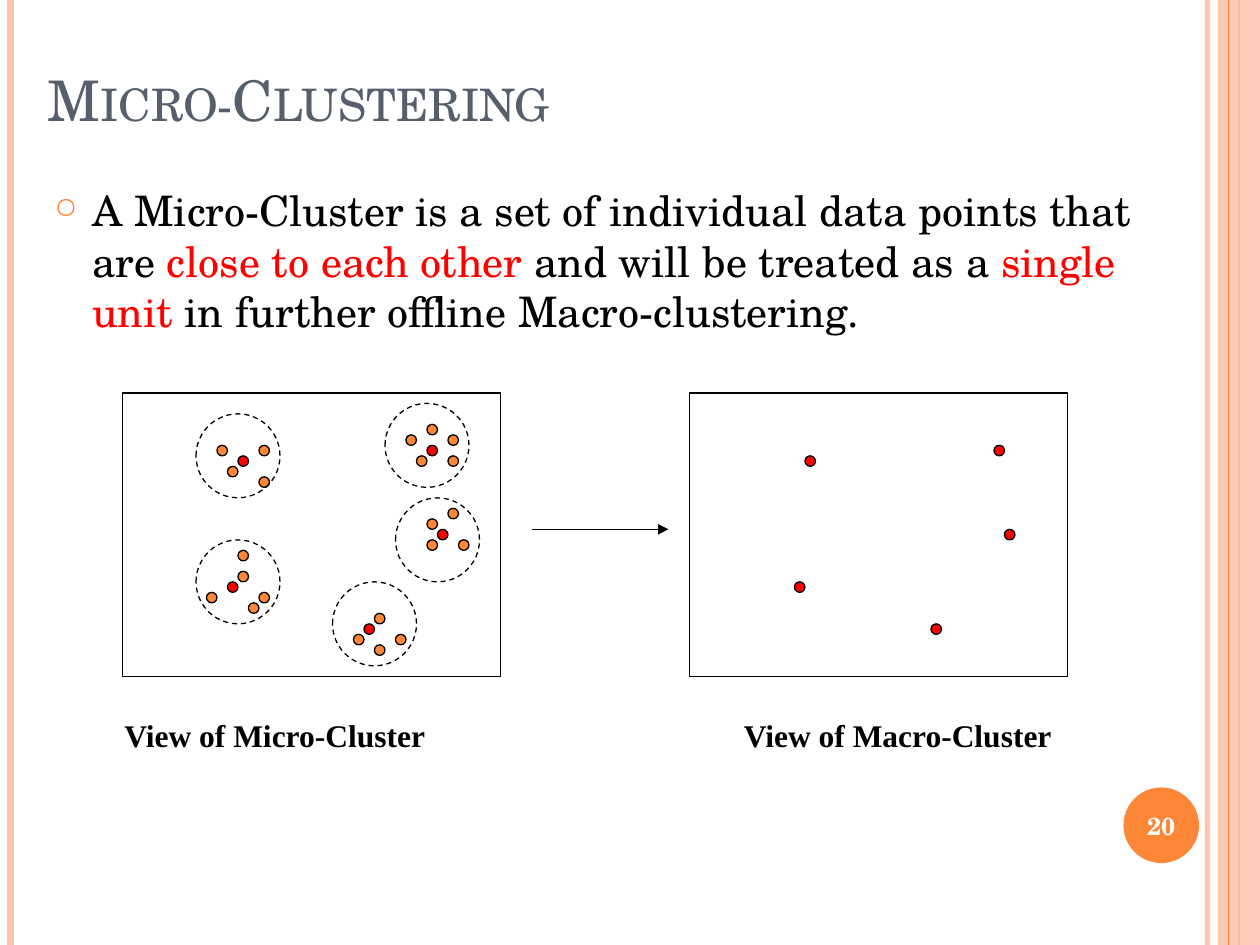
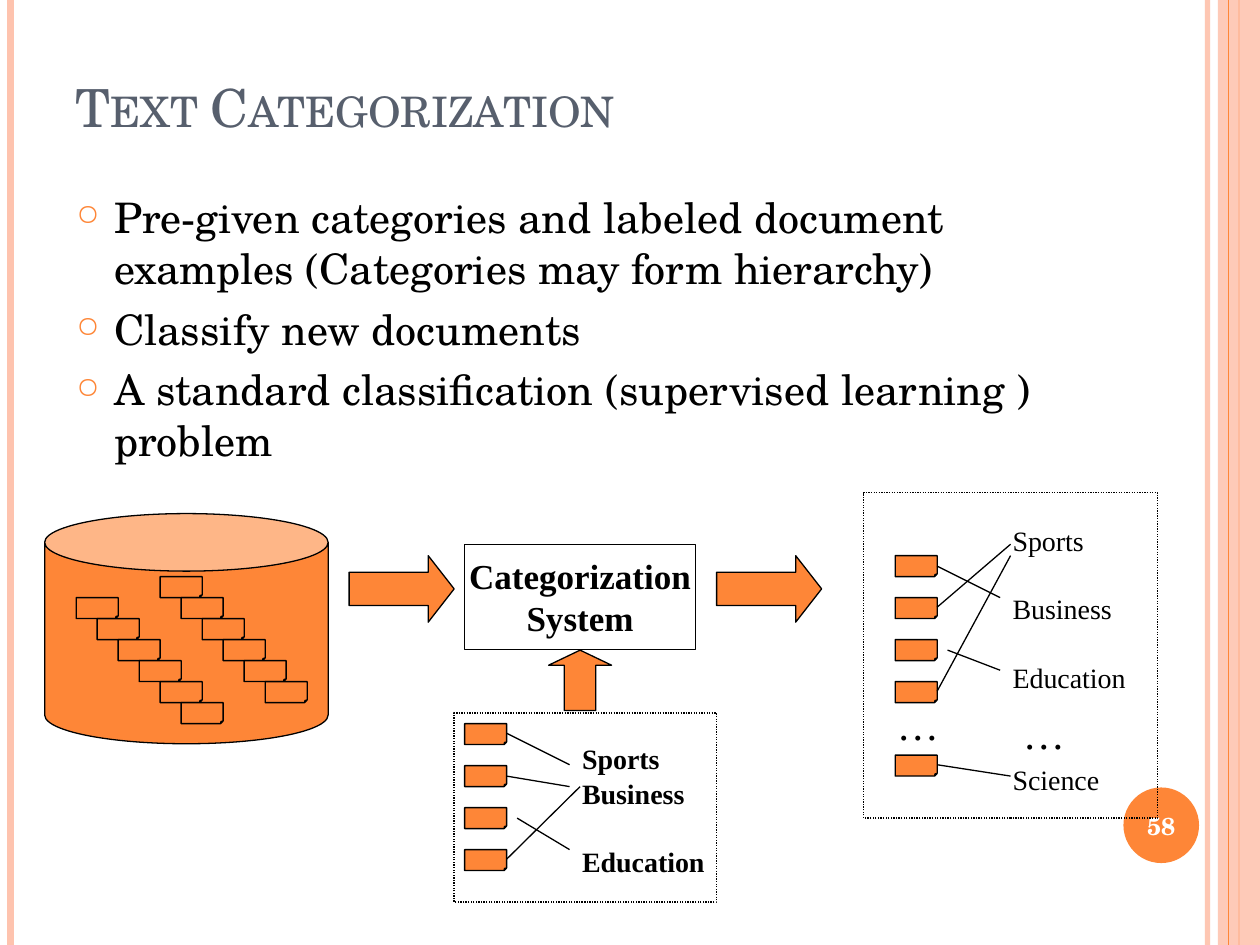
from dataclasses import dataclass
from typing import Any, Optional

import pptx
import pptx.dml.color
import pptx.enum.dml
import pptx.enum.shapes
import pptx.enum.text
import pptx.oxml
import pptx.oxml.ns
import pptx.util

Pt = pptx.util.Pt
RGBColor = pptx.dml.color.RGBColor
Shapes = pptx.enum.shapes.MSO_SHAPE
Dash = pptx.enum.dml.MSO_LINE
Anchor = pptx.enum.text.MSO_ANCHOR
Align = pptx.enum.text.PP_ALIGN

ORANGE = RGBColor(0xFE, 0x86, 0x37)
PEACH = RGBColor(0xFE, 0xC3, 0xAE)
SLATE = RGBColor(0x57, 0x5F, 0x6D)
RED = RGBColor(0xFF, 0x00, 0x00)
BLACK = RGBColor(0x00, 0x00, 0x00)
WHITE = RGBColor(0xFF, 0xFF, 0xFF)

THEME_FONT = "TeX Gyre Schola"
DIAGRAM_FONT = "Times New Roman"
BODY_TEXT = dict(name=THEME_FONT, size=Pt(24))
CAPTION_TEXT = dict(name=DIAGRAM_FONT, size=Pt(18), bold=True)
LABEL_TEXT = dict(name=DIAGRAM_FONT, size=Pt(16))
BADGE_TEXT = dict(name=THEME_FONT, size=Pt(14), bold=True)

SLIDE_WIDTH, SLIDE_HEIGHT = 720, 540
LABEL_GAP = 0.8      # extra space between neighbouring labels
LABEL_LINE = 19.2    # height of one label line with its gap


@dataclass(frozen=True)
class Box:
    left: float
    top: float
    width: float
    height: float

    def lengths(self) -> list[int]:
        return [Pt(value) for value in (self.left, self.top, self.width, self.height)]


@dataclass(frozen=True)
class Line:
    x1: float
    y1: float
    x2: float
    y2: float


@dataclass(frozen=True)
class Cluster:
    """Grid positions inside a view: ring corner, centre dot and member dots."""
    ring: tuple[int, int]
    centre: tuple[int, int]
    members: list[tuple[int, int]]


@dataclass(frozen=True)
class Label:
    text: str
    skipped_lines: int = 0


@dataclass(frozen=True)
class Run:
    text: str
    color: RGBColor = BLACK


def apply_format(target: Any, values: dict[str, Any]) -> None:
    for name, value in values.items():
        setattr(target, name, value)


def add_run(paragraph: Any, text: str, font: dict[str, Any], color: RGBColor = BLACK) -> Any:
    run = paragraph.add_run()
    run.text = text
    apply_format(run.font, font)
    run.font.color.rgb = color
    return run


def add_xml(parent: Any, tag: str, content: str = "") -> None:
    """Append a drawing element; tag may carry attributes after its name."""
    namespace = pptx.oxml.ns.nsdecls("a")
    name = tag.split()[0]
    parent.append(pptx.oxml.parse_xml(f"<a:{tag} {namespace}>{content}</a:{name}>"))


def set_alpha(shape: Any, percent: int) -> None:
    color = shape._element.spPr.find(".//" + pptx.oxml.ns.qn("a:srgbClr"))
    add_xml(color, f'alpha val="{percent * 1000}"')


def add_figure(slide: Any, kind: Any, box: Box, fill: Optional[RGBColor] = None,
               line: Optional[RGBColor] = BLACK, dash: Any = None,
               guides: Optional[dict[str, float]] = None) -> Any:
    shape = slide.shapes.add_shape(kind, *box.lengths())
    shape.shadow.inherit = False
    if guides:
        shape._element.spPr.prstGeom.rewrite_guides(
            [(name, round(value * 100000)) for name, value in guides.items()])
    if fill is None:
        shape.fill.background()
    else:
        shape.fill.solid()
        shape.fill.fore_color.rgb = fill
    if line is None:
        shape.line.fill.background()
    else:
        shape.line.color.rgb = line
        apply_format(shape.line, dict(width=Pt(0.75), dash_style=dash))
    return shape


def add_line(slide: Any, line: Line, color: RGBColor = BLACK, width: float = 0.75,
             arrow: bool = False) -> Any:
    connector = slide.shapes.add_connector(
        pptx.enum.shapes.MSO_CONNECTOR.STRAIGHT,
        Pt(line.x1), Pt(line.y1), Pt(line.x2), Pt(line.y2))
    connector.line.color.rgb = color
    connector.line.width = Pt(width)
    if arrow:
        add_xml(connector.get_or_add_ln(), 'tailEnd type="triangle"')
    add_xml(connector._element.spPr, "effectLst")
    return connector


def add_text_frame(slide: Any, box: Box) -> Any:
    frame = slide.shapes.add_textbox(*box.lengths()).text_frame
    frame.word_wrap = True
    return frame


def add_text(slide: Any, box: Box, text: str, font: dict[str, Any]) -> None:
    add_run(add_text_frame(slide, box).paragraphs[0], text, font)


def add_labels(slide: Any, box: Box, labels: list[Label], font: dict[str, Any]) -> None:
    frame = add_text_frame(slide, box)
    for index, label in enumerate(labels):
        paragraph = frame.add_paragraph() if index else frame.paragraphs[0]
        if index:
            paragraph.space_before = Pt(LABEL_GAP + label.skipped_lines * LABEL_LINE)
        add_run(paragraph, label.text, font)


def add_bullets(slide: Any, box: Box, bullets: list[list[Run]]) -> None:
    frame = add_text_frame(slide, box)
    for index, runs in enumerate(bullets):
        paragraph = frame.add_paragraph() if index else frame.paragraphs[0]
        paragraph.space_before = Pt(6)
        properties = paragraph._p.get_or_add_pPr()
        properties.set("marL", str(int(Pt(21.6))))
        properties.set("indent", str(-int(Pt(21.6))))
        add_xml(properties, "buClr", f'<a:srgbClr val="{ORANGE}"/>')
        add_xml(properties, 'buSzPct val="70000"')
        add_xml(properties, 'buChar char="○"')
        for run in runs:
            add_run(paragraph, run.text, BODY_TEXT, run.color)


def add_side_bands(slide: Any) -> None:
    def rule(x: float, color: RGBColor, width: float) -> Any:
        return add_line(slide, Line(x, 0, x, SLIDE_HEIGHT), color, width)

    set_alpha(rule(690, PEACH, 3), 93)
    rule(6, PEACH, 4.5)
    rule(708, ORANGE, 1.5)
    band = add_figure(slide, Shapes.RECTANGLE, Box(696, 0, 24, SLIDE_HEIGHT), PEACH, None)
    set_alpha(band, 87)
    rule(702, ORANGE, 0.75)


def add_number_badge(slide: Any, number: int) -> None:
    badge = add_figure(slide, Shapes.OVAL, Box(642, 450, 43.2, 43.2), ORANGE, None)
    frame = badge.text_frame
    apply_format(frame, dict(word_wrap=False, vertical_anchor=Anchor.MIDDLE))
    frame.paragraphs[0].alignment = Align.CENTER
    add_run(frame.paragraphs[0], str(number), BADGE_TEXT, WHITE)


def add_titled_slide(presentation: Any, title: str, box: Box, size: float, number: int) -> Any:
    slide = presentation.slides.add_slide(presentation.slide_layouts[5])
    add_side_bands(slide)
    add_number_badge(slide, number)
    placeholder = slide.shapes.title
    apply_format(placeholder, dict(zip(("left", "top", "width", "height"), box.lengths())))
    frame = placeholder.text_frame
    apply_format(frame, dict(vertical_anchor=Anchor.BOTTOM, word_wrap=True,
                             auto_size=pptx.enum.text.MSO_AUTO_SIZE.NONE))
    frame.paragraphs[0].alignment = Align.LEFT
    run = add_run(frame.paragraphs[0], title, dict(name=THEME_FONT, size=Pt(size)), SLATE)
    run._r.get_or_add_rPr().set("cap", "small")
    return slide


GRID = 6
VIEW_TOP = 224.5
MICRO_LEFT, MACRO_LEFT = 70, 394
CLUSTERS = [
    Cluster((7, 2), (11, 6), [(9, 5), (13, 5), (10, 7), (13, 8)]),
    Cluster((25, 1), (29, 5), [(31, 4), (31, 6), (27, 4), (28, 6), (29, 3)]),
    Cluster((26, 10), (30, 13), [(31, 11), (29, 14), (29, 12), (32, 14)]),
    Cluster((7, 14), (10, 18), [(11, 17), (8, 19), (12, 20), (11, 15), (13, 19)]),
    Cluster((20, 18), (23, 22), [(24, 24), (26, 23), (22, 23), (24, 21)]),
]


def grid_box(view_left: float, cell: tuple[int, int], columns: int = 1, rows: int = 1) -> Box:
    return Box(view_left + cell[0] * GRID, VIEW_TOP + cell[1] * GRID, columns * GRID, rows * GRID)


def add_view(slide: Any, left: float, caption: str, caption_left: float, detailed: bool) -> None:
    """Draw a framed view; a detailed one also shows rings and member dots."""
    add_figure(slide, Shapes.RECTANGLE, grid_box(left, (0, 0), 36, 27))
    for cluster in CLUSTERS:
        if detailed:
            for member in cluster.members:
                add_figure(slide, Shapes.OVAL, grid_box(left, member), ORANGE)
            add_figure(slide, Shapes.OVAL, grid_box(left, cluster.ring, 8, 8), dash=Dash.DASH)
        add_figure(slide, Shapes.OVAL, grid_box(left, cluster.centre), RED)
    add_text(slide, Box(caption_left, 405.5, 222, 28.8), caption, CAPTION_TEXT)


def build_micro_clustering(presentation: Any) -> None:
    slide = add_titled_slide(presentation, "Micro-Clustering", Box(20, 31.5, 654.5, 48), 32, 20)
    add_bullets(slide, Box(24, 102, 642, 408), [[
        Run("A Micro-Cluster is a set of individual data points that are "),
        Run("close to each other", RED),
        Run(" and will be treated as a "),
        Run("single unit", RED),
        Run(" in further offline Macro-clustering."),
    ]])
    add_view(slide, MICRO_LEFT, "View of Micro-Cluster", 64, True)
    add_line(slide, Line(304, 302.5, 382, 302.5), arrow=True)
    add_view(slide, MACRO_LEFT, "View of Macro-Cluster", 418, False)


def add_documents(slide: Any, left: float, top: float, count: int,
                  step_x: float = 0, step_y: float = 24) -> None:
    for index in range(count):
        box = Box(left + index * step_x, top + index * step_y, 24, 12)
        add_figure(slide, Shapes.FOLDED_CORNER, box, ORANGE, guides=dict(adj=0.125))


TRAINING_LINKS = [
    Line(289.5, 419, 325.5, 437), Line(289.5, 443.5, 325.5, 449.5),
    Line(289.5, 491, 331.5, 449.5), Line(295.5, 467.5, 325.5, 485.5),
]
RESULT_LINKS = [
    Line(535.5, 323.5, 571.5, 341.5), Line(535.5, 347, 577.5, 311),
    Line(535.5, 395, 577.5, 317.5), Line(541.5, 371.5, 571.5, 383),
    Line(535.5, 437, 577.5, 443.5),
]


def build_text_categorization(presentation: Any) -> None:
    slide = add_titled_slide(presentation, "Text Categorization", Box(36, 21.5, 588, 61), 30, 58)
    add_bullets(slide, Box(36.5, 106, 588, 384), [
        [Run("Pre-given categories and labeled document examples (Categories may form hierarchy)")],
        [Run("Classify new documents")],
        [Run("A standard classification (supervised learning ) problem")],
    ])

    add_figure(slide, Shapes.CAN, Box(25.5, 293.5, 162, 131.5), ORANGE, guides=dict(adj=0.25))
    for left, top in ((43.5, 341.5), (91.5, 329.5)):
        add_documents(slide, left, top, 6, 12, 12)

    system = add_figure(slide, Shapes.RECTANGLE, Box(265.5, 311, 132, 60))
    frame = system.text_frame
    apply_format(frame, dict(word_wrap=False, vertical_anchor=Anchor.MIDDLE))
    for paragraph, text in ((frame.paragraphs[0], "Categorization"), (frame.add_paragraph(), "System")):
        paragraph.alignment = Align.CENTER
        add_run(paragraph, text, dict(name=DIAGRAM_FONT, size=Pt(20), bold=True))
    for left in (199.5, 409.5):
        add_figure(slide, Shapes.RIGHT_ARROW, Box(left, 317.5, 60, 38), ORANGE,
                   guides=dict(adj1=0.5, adj2=0.39))
    add_figure(slide, Shapes.UP_ARROW, Box(313.5, 371.5, 36, 34.5), ORANGE,
               guides=dict(adj1=0.5, adj2=0.25))

    add_documents(slide, 265.5, 413.5, 4)
    add_labels(slide, Box(325.5, 420, 96, 84),
               [Label("Sports"), Label("Business"), Label("Education", 1)],
               dict(LABEL_TEXT, bold=True))

    add_documents(slide, 511.5, 317.5, 4)
    add_documents(slide, 511.5, 431.5, 1)
    add_labels(slide, Box(571.5, 295.5, 90, 199),
               [Label("Sports"), Label("Business", 1), Label("Education", 1), Label("Science", 2)],
               LABEL_TEXT)
    for left, top in ((505.5, 395.5), (577.5, 401)):
        add_text(slide, Box(left, top, 39, 36), "…", dict(name=DIAGRAM_FONT, size=Pt(24)))

    for link in TRAINING_LINKS + RESULT_LINKS:
        add_line(slide, link)
    for box in (Box(259.5, 407.5, 150, 108), Box(493.5, 281.5, 168, 186)):
        add_figure(slide, Shapes.RECTANGLE, box, dash=Dash.ROUND_DOT)


def main() -> None:
    presentation = pptx.Presentation()
    presentation.slide_width, presentation.slide_height = Pt(SLIDE_WIDTH), Pt(SLIDE_HEIGHT)
    build_micro_clustering(presentation)
    build_text_categorization(presentation)
    presentation.save("out.pptx")


if __name__ == "__main__":
    main()
